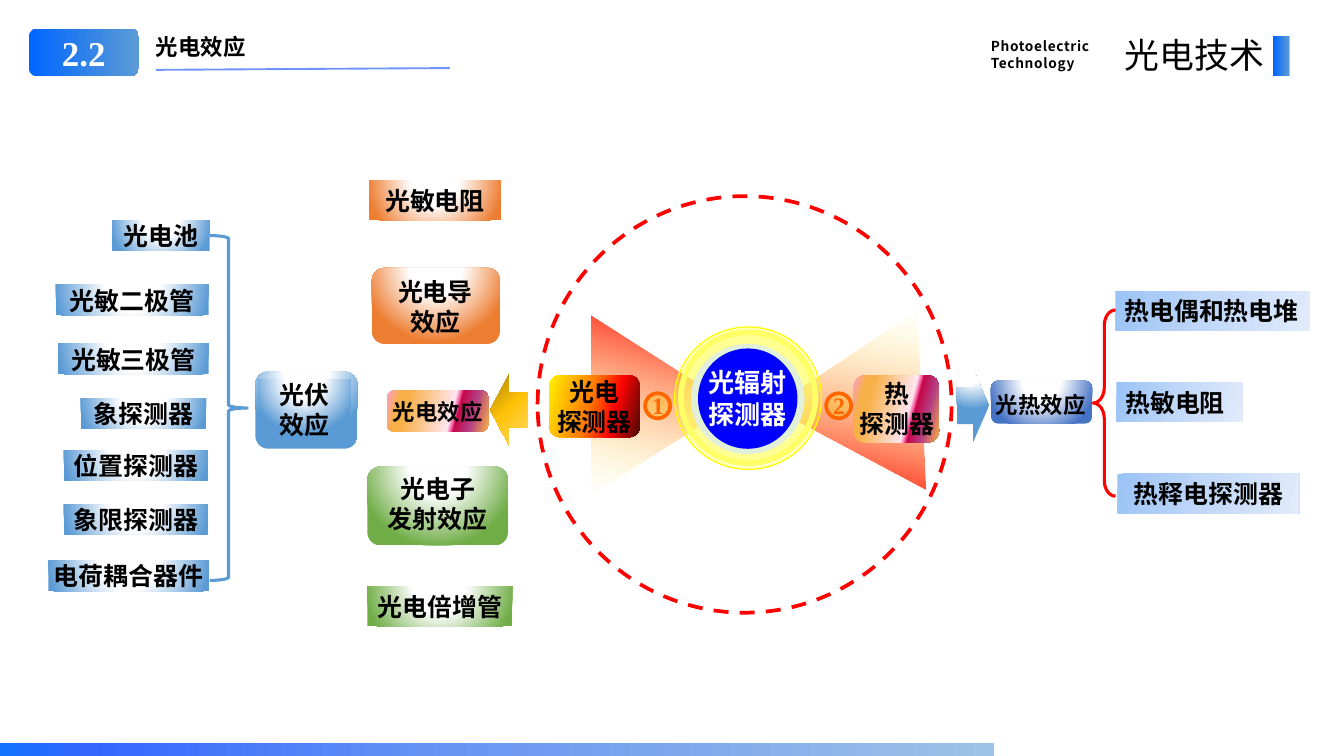
"""Build the slide that maps photoelectric and photothermal detectors."""
from lxml import etree
from pptx import Presentation, util as u
from pptx.dml.color import RGBColor
from pptx.enum import dml, shapes, text
from pptx.oxml import ns, parse_xml

KIND = shapes.MSO_SHAPE
ALIGN = text.PP_ALIGN
SANS, SERIF = "Noto Sans CJK SC", "Times New Roman"
rgb = RGBColor.from_string

deck = Presentation()
deck.slide_width, deck.slide_height = u.Inches(15), u.Inches(8.44)
COL, ROW = deck.slide_width / 150, deck.slide_height / 84.4
page = deck.slides.add_slide(deck.slide_layouts[5])

SUNSET = (90, {0: "FC9FCB", 13: "F8B049", 21: "F8B049", 63: "FEE7F2",
               67: "F952A0", 69: "C50849", 82: "B43E85", 100: "F8B049"})
FIRE = (90, {0: "FFF200", 45: "FF7A00", 70: "FF0300", 100: "4D0808"})
GOLD = (270, {0: "AB8100", 48: "FFC208", 100: "FFD966"})
BEAM = (90, {0: "FF0000", 100: "FFFF66@0"})
SKY = (90, {0: "9AC3F5", 50: "C2D8F8", 100: "E1EBFB"})
BRAND = (0, {0: "0066FF", 100: "5B9BD5"})
FOOTER = (0, {0: "1271FE", 9: "3366FF", 45: "6895F3", 100: "9DC3E6"})
BLUE, INDIGO, ORANGE, GREEN = (
    ("circle", {0: "FFFFFF", 35: "FFFFFF", 100: tone})
    for tone in ("5B9BD5", "4472C4", "ED7D31", "70AD47"))


def draw(kind, place, fill=None, line=None, weight=1):
    """Add a shape at (left, top, width, height) in grid units; a colour may end in @opacity."""
    left, top, width, height = place
    area = [round(n) for n in (left * COL, top * ROW, width * COL, height * ROW)]
    if kind is None:
        return page.shapes.add_textbox(*area)
    shape = page.shapes.add_shape(kind, *area)
    shape.shadow.inherit = False
    shape.line.fill.background()
    if line:
        shape.line.color.rgb = rgb(line)
        shape.line.width = u.Pt(weight)
    shape.fill.background()
    if fill:
        angle, stops = (None, {0: fill}) if isinstance(fill, str) else fill
        colours = {}
        for stop, colour in stops.items():
            tone, _, opacity = colour.partition("@")
            colours[stop] = (f'<a:srgbClr val="{tone}">'
                             f'<a:alpha val="{opacity or 100}000"/></a:srgbClr>')
        if angle is None:
            xml = f'<a:solidFill {ns.nsdecls("a")}>{colours[0]}</a:solidFill>'
        else:
            shade = f'<a:lin ang="{angle}0000" scaled="1"/>'
            if angle == "circle":
                shade = ('<a:path path="circle"><a:fillToRect l="50000" t="-80000" '
                         'r="50000" b="180000"/></a:path>')
            listed = "".join(f'<a:gs pos="{stop}000">{c}</a:gs>' for stop, c in colours.items())
            xml = (f'<a:gradFill {ns.nsdecls("a")} rotWithShape="1">'
                   f'<a:gsLst>{listed}</a:gsLst>{shade}</a:gradFill>')
        holder = shape._element.spPr
        holder.replace(holder.find(ns.qn("a:noFill")), parse_xml(xml))
    return shape


def write(box, words, size=20, colour="000000", align=ALIGN.CENTER, bold=True,
          font=SANS, flush=False, spacing=0):
    """Fill a box with formatted, vertically centred text."""
    frame = box.text_frame
    frame.text = words
    frame.word_wrap = True
    frame.auto_size = text.MSO_AUTO_SIZE.NONE
    frame.vertical_anchor = text.MSO_ANCHOR.MIDDLE
    frame.margin_left = frame.margin_right = 0 if flush else round(COL)
    frame.margin_top = frame.margin_bottom = 0 if flush else round(ROW / 2)
    for para in frame.paragraphs:
        para.alignment = align
        for span in para.runs:
            span.font.size, span.font.bold, span.font.name = u.Pt(size), bold, font
            span.font.color.rgb = rgb(colour)
            props = span.font._element
            etree.SubElement(props, ns.qn("a:ea")).set("typeface", font)
            if spacing:
                props.set("spc", str(spacing))


title = page.shapes.title
title.left, title.top = round(16.4 * COL), round(3.2 * ROW)
title.width, title.height = round(35 * COL), round(4 * ROW)
write(title, "光电效应", 18, align=ALIGN.LEFT)

for place, turn in (((84.4, 36.7, 20, 16.7), 267.1), ((63.9, 37.4, 19.9, 15.6), 90)):
    draw(KIND.ISOSCELES_TRIANGLE, place, BEAM).rotation = turn

for place, fill, line, weight in (
        ((75.3, 36.5, 16.4, 15.9), "FFFF00@25", "FFFF00", 1),
        ((76, 37.1, 15, 14.6), "FFFF66@50", "FFFF66", 4.5),
        ((77.1, 38.4, 12.7, 12.3), "E2F0D9", None, 0)):
    draw(KIND.OVAL, place, fill, line, weight)

orbit = draw(KIND.OVAL, (60, 21.9, 46.2, 46.5), None, "FF0000", 3)
orbit.line.dash_style = dml.MSO_LINE.DASH

nodes = (
    (KIND.OVAL, (77.9, 38.9, 11.1, 11.2), "0000FF",
     (77.8, 40.9, 11.3, 7.1), "光辐射探测器", 21, "FFFFFF"),
    (KIND.ROUNDED_RECTANGLE, (95.3, 41.9, 9.5, 7.5), SUNSET,
     (94.5, 42.3, 11.3, 6.7), "热\n探测器", 20, "000000"),
    (KIND.ROUNDED_RECTANGLE, (61.3, 41.9, 10.1, 6.9), FIRE,
     (61.3, 42, 10.1, 6.7), "光电\n探测器", 20, "000000"),
    (KIND.ROUNDED_RECTANGLE, (110.6, 42.5, 11.3, 4.8), INDIGO,
     (110.5, 43.7, 11.3, 3), "光热效应", 18, "000000"),
    (KIND.ROUNDED_RECTANGLE, (43.2, 43.6, 11.3, 4.6), SUNSET,
     (43.2, 44.5, 11.3, 3), "光电效应", 18, "000000"),
    (KIND.ROUNDED_RECTANGLE, (41.5, 29.9, 14.3, 8.5), ORANGE,
     (41.8, 30.9, 13.6, 6.7), "光电导\n效应", 20, "000000"),
    (KIND.ROUNDED_RECTANGLE, (41, 52.1, 15.7, 8.8), GREEN,
     (41, 52.9, 15.7, 6.7), "光电子\n发射效应", 20, "000000"),
)
for kind, place, fill, label_place, words, size, colour in nodes:
    node = draw(kind, place, fill)
    label = draw(None, label_place)
    write(label, words, size, colour, flush=True)
    page.shapes.add_group_shape([node, label])

for digit, left in (("1", 72), ("2", 92.2)):
    ring = draw(KIND.OVAL, (left, 43.9, 2.8, 2.8), "FFC000@33", "FF6600", 3)
    label = draw(None, (left + 0.8, 43.6, 1.6, 3.2))
    write(label, digit, 19, "FF6600", ALIGN.LEFT, font=SERIF, flush=True)
    page.shapes.add_group_shape([ring, label])

volt_node = draw(KIND.ROUNDED_RECTANGLE, (28.5, 41.5, 11.4, 8.6), BLUE)
volt_label = draw(KIND.RECTANGLE, (28.9, 42.4, 10.2, 6.7), BLUE)
write(volt_label, "光伏\n效应", flush=True)
page.shapes.add_group_shape([volt_node, volt_label])

for words, left, top, width, fill, align in (
        ("热电偶和热电堆", 124.5, 32.5, 21.7, SKY, ALIGN.LEFT),
        ("热敏电阻", 124.6, 42.7, 14.1, SKY, ALIGN.LEFT),
        ("热释电探测器", 124.7, 52.9, 20.3, SKY, ALIGN.CENTER),
        ("光敏电阻", 41.2, 20.2, 14.7, ORANGE, ALIGN.CENTER),
        ("光电倍增管", 41, 65.5, 16.2, GREEN, ALIGN.CENTER)):
    write(draw(KIND.RECTANGLE, (left, top, width, 4.4), fill), words, align=align)

for words, left, top, width in (
        ("光电池", 12.5, 24.6, 10.9), ("光敏二极管", 6.2, 31.8, 17.1),
        ("光敏三极管", 6.5, 38.4, 16.8), ("象探测器", 9, 44.5, 14),
        ("位置探测器", 7.1, 50.3, 16.1), ("象限探测器", 7.1, 56.3, 16.1),
        ("电荷耦合器件", 5.4, 62.6, 17.9)):
    write(draw(KIND.RECTANGLE, (left, top, width, 3.4), BLUE), words, flush=True)

heat_brace = draw(KIND.LEFT_BRACE, (122, 34.6, 2.5, 20.8), None, "FF0000", 2.5)
heat_brace.adjustments[0] = 0.69
draw(KIND.RIGHT_BRACE, (23.4, 26.3, 4.2, 38.5), None, "5B9BD5", 2.5)
draw(KIND.LEFT_ARROW, (54.7, 41.8, 4.2, 7.9), GOLD)
draw(KIND.RIGHT_ARROW, (106.8, 41.2, 3.6, 8.2), BLUE)

badge = draw(KIND.ROUNDED_RECTANGLE, (3.2, 3.2, 12.3, 5.3), BRAND)
write(badge, "2.2", 28, "FFFFFF", font=SERIF)
ends = (17.4 * COL, 7.8 * ROW, 50.2 * COL, 7.6 * ROW)
rule = page.shapes.add_connector(shapes.MSO_CONNECTOR.STRAIGHT, *map(round, ends))
rule.line.color.rgb = rgb("3366FF")
rule.line.width = u.Pt(1.5)
rule_props = rule._element.spPr
etree.SubElement(rule_props.find(".//" + ns.qn("a:srgbClr")), ns.qn("a:alpha")).set("val", "70000")
etree.SubElement(rule_props, ns.qn("a:effectLst"))

english = draw(None, (109.6, 3.6, 15.8, 4.9))
write(english, "Photoelectric\nTechnology", 11, align=ALIGN.LEFT, spacing=50)
for para in english.text_frame.paragraphs:
    para.line_spacing = u.Pt(14)
course = draw(None, (123.1, 3.2, 19, 5.7))
write(course, "光电技术", 28, align=ALIGN.RIGHT, bold=False, spacing=20)
draw(KIND.RECTANGLE, (142.1, 4, 1.8, 4.5), BRAND)
draw(KIND.RECTANGLE, (0, 83, 110.9, 1.4), FOOTER)

deck.save("out.pptx")
